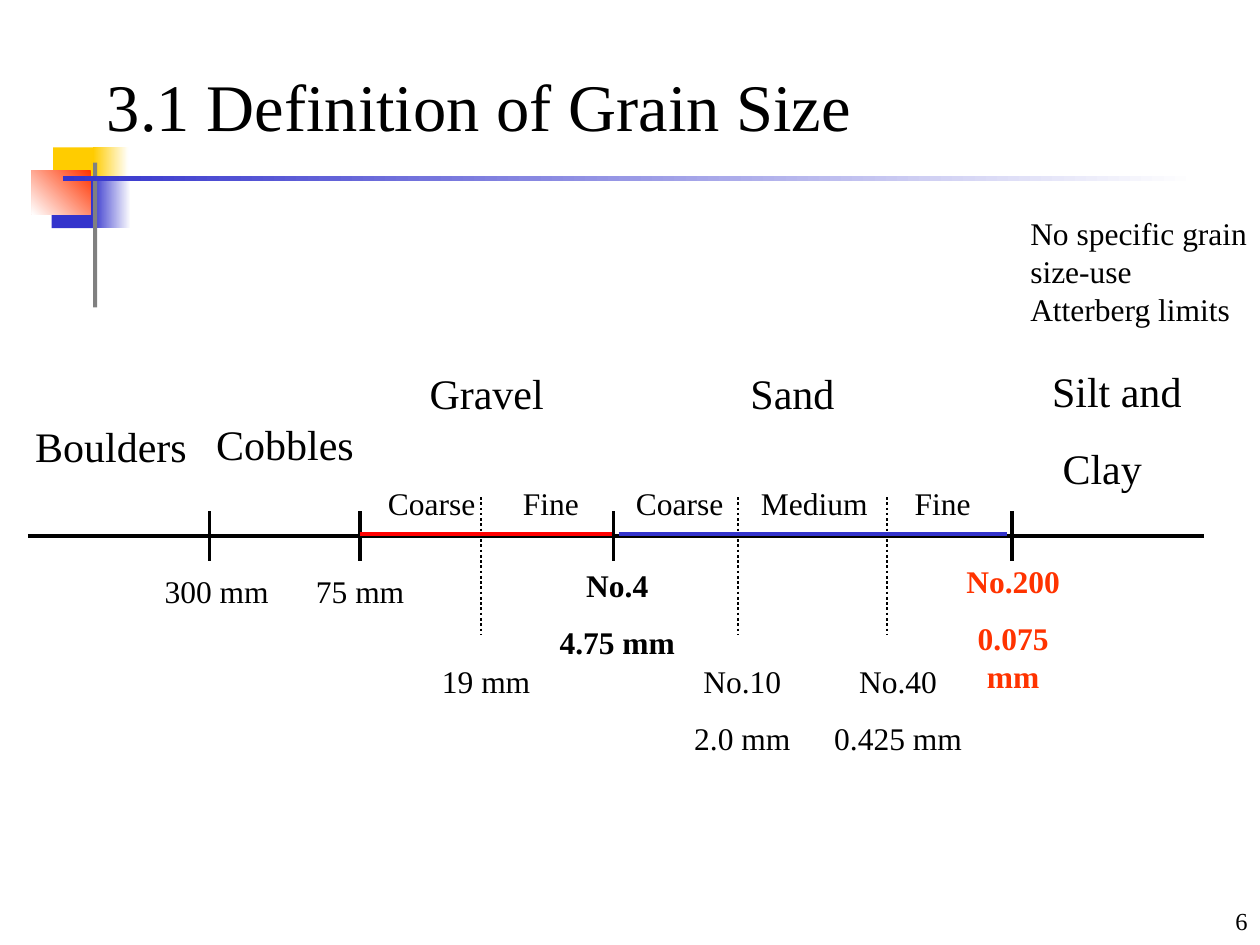
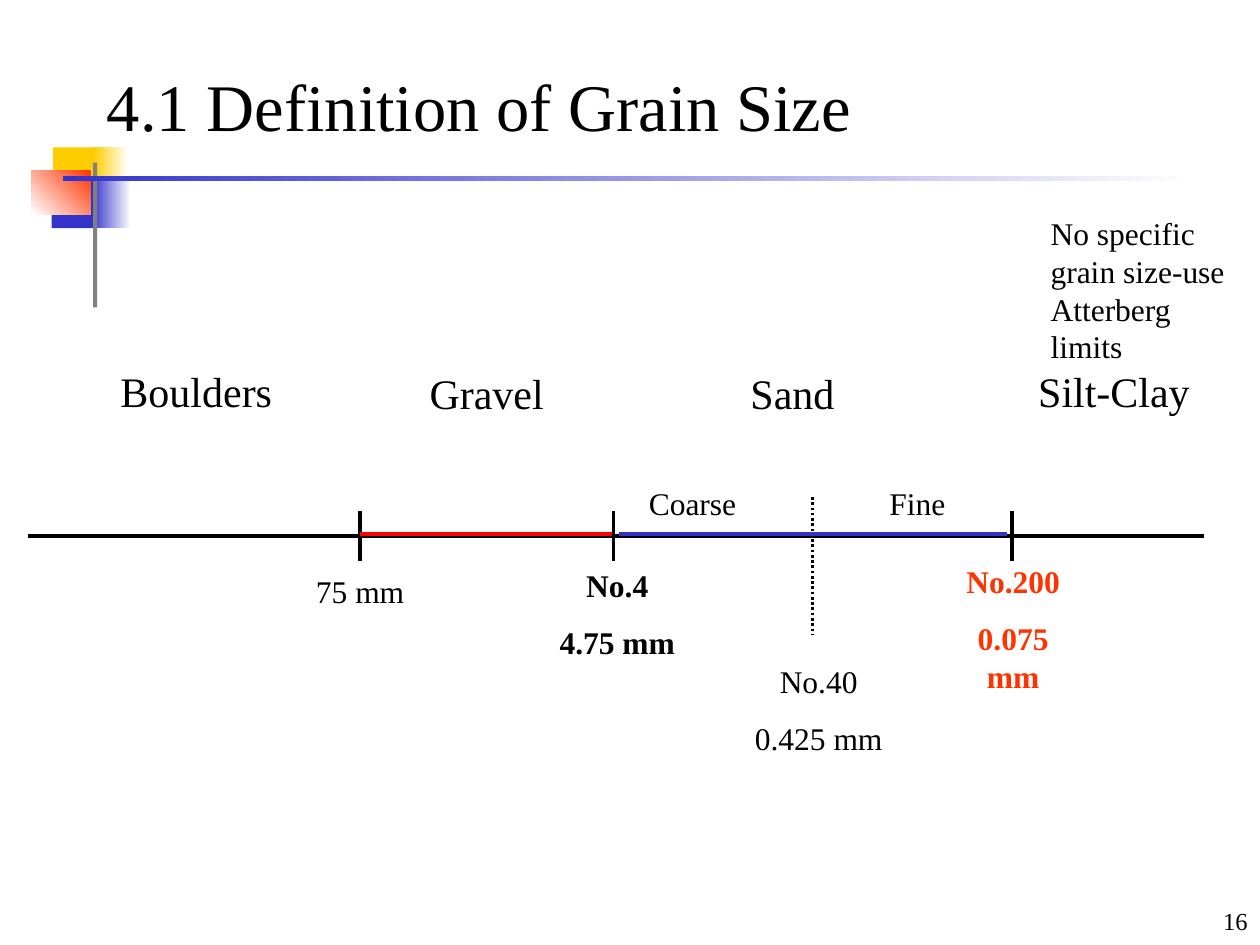
"""Build two slides that show soil grain size classes along an axis."""
from dataclasses import dataclass, replace

import lxml.etree
import pptx
import pptx.dml.color
import pptx.enum.dml
import pptx.enum.shapes
import pptx.enum.text
import pptx.oxml.ns
import pptx.slide
import pptx.text.text
import pptx.util

Cm = pptx.util.Cm
Align = pptx.enum.text.PP_ALIGN

FONT = "Times New Roman"
BLACK, WHITE, GRAY = "000000", "FFFFFF", "808080"
YELLOW, BLUE, ORANGE, RED = "FFCC00", "3333CC", "FF3300", "FF0000"

AXIS_Y = 10.8
RANGE_Y = 10.77
TICK_SPAN = (10.31, 11.3)
DIVIDER_SPAN = (10.02, 12.8)
GROUP_TOP, CLASS_TOP, SIZE_TOP, DIVIDER_SIZE_TOP = 7.29, 9.63, 11.4, 13.22
CLASS_WIDTH = 2.49


@dataclass(frozen=True)
class Block:
    """A decorative rectangle in cm; end_color turns its fill into a gradient."""
    left: float
    top: float
    width: float
    height: float
    color: str
    end_color: str = ""
    angle: float = 0


@dataclass(frozen=True)
class Label:
    """A text box in cm; lines are paragraphs, rows counts the wrapped lines."""
    lines: tuple[str, ...]
    left: float
    top: float
    width: float
    size: int = 18
    rows: int = 1
    align: Align = Align.LEFT
    color: str = BLACK
    bold: bool = False

    @property
    def space_before(self) -> float:
        """Return the paragraph spacing in points."""
        return self.size * 0.625

    @property
    def height(self) -> float:
        """Return the height in cm that fits the text and its margins."""
        gaps = (len(self.lines) - 1) * self.space_before
        return 0.25 + (self.rows * self.size * 1.2 + gaps) * 2.54 / 72


@dataclass(frozen=True)
class GrainChart:
    """The content of one slide."""
    title: str
    page: str
    ticks: tuple[float, ...]
    dividers: tuple[float, ...]
    labels: tuple[Label, ...]


def group(text: str, left: float, width: float, top: float = GROUP_TOP) -> Label:
    """Return the name of a main soil group."""
    return Label((text,), left, top, width, size=24)


def grain_class(text: str, left: float, width: float = CLASS_WIDTH) -> Label:
    """Return the name of a class within a group."""
    return Label((text,), left, CLASS_TOP, width)


def sieve(number: str, opening: str, left: float, top: float, width: float = 2.85) -> Label:
    """Return a centred sieve number above its opening."""
    return Label((number, opening), left, top, width, rows=2, align=Align.CENTER)


BLOCKS = (
    Block(1.07, 2.97, 0.94, 1.02, YELLOW),
    Block(1.88, 2.97, 0.71, 1.02, YELLOW, WHITE),
    Block(1.04, 3.58, 0.89, 1.02, BLUE),
    Block(1.85, 3.58, 0.79, 1.02, BLUE, WHITE),
    Block(0.64, 3.43, 1.19, 0.89, ORANGE, WHITE, 225),
    Block(1.88, 3.28, 0.08, 2.92, GRAY),
    Block(1.27, 3.54, 22.86, 0.11, BLUE, WHITE),
)

SHARED_TICKS = (7.26, 12.37, 20.4)
SHARED_LABELS = (
    group("Gravel", 8.41, 2.83),
    group("Sand", 14.88, 2.83),
    Label(("75 mm",), 6.12, SIZE_TOP, 2.37),
    replace(sieve("No.4", "4.75 mm", 11.02, 11.28), bold=True),
    replace(sieve("No.200", "0.075 mm", 19, 11.2), bold=True, color=ORANGE, rows=3),
)
NOTE = Label(("No specific grain size-use Atterberg limits",), 20.52, 4.19, 4.88, rows=3)
NO_40 = sieve("No.40", "0.425 mm", 16.54, DIVIDER_SIZE_TOP, 3.13)

CHARTS = (
    GrainChart(
        "3.1 Definition of Grain Size", "6",
        ticks=(4.22, *SHARED_TICKS),
        dividers=(9.7, 14.88, 17.88),
        labels=(
            *SHARED_LABELS,
            group("Boulders", 0.46, 4.27, 8.36),
            group("Cobbles", 4.11, 3.38, 8.31),
            Label(("Silt and", " Clay"), 20.96, 7.24, 3.36, size=24, rows=2),
            grain_class("Coarse", 7.57),
            grain_class("Fine", 10.29),
            grain_class("Coarse", 12.57),
            grain_class("Medium", 15.09, 2.83),
            grain_class("Fine", 18.19),
            Label(("300 mm",), 3.07, SIZE_TOP, 3.1),
            Label(("19 mm",), 8.66, DIVIDER_SIZE_TOP, 2.37),
            sieve("No.10", "2.0 mm", 13.54, DIVIDER_SIZE_TOP),
            NO_40,
            NOTE,
        ),
    ),
    GrainChart(
        "4.1 Definition of Grain Size", "16",
        ticks=SHARED_TICKS,
        dividers=(16.38,),
        labels=(
            *SHARED_LABELS,
            group("Boulders", 2.18, 4.27, 7.24),
            group("Silt-Clay", 20.68, 3.76, 7.24),
            grain_class("Coarse", 12.83),
            grain_class("Fine", 17.68),
            replace(NO_40, left=14.94),
            replace(NOTE, left=20.93, width=4.47, rows=4),
        ),
    ),
)


def rgb(color: str) -> pptx.dml.color.RGBColor:
    """Turn a hex string into a colour."""
    return pptx.dml.color.RGBColor.from_string(color)


def format_runs(paragraph: pptx.text.text._Paragraph, size: int,
                color: str = BLACK, bold: bool = False) -> None:
    """Set the font of every run in a paragraph."""
    for run in paragraph.runs:
        run.font.name = FONT
        run.font.size = pptx.util.Pt(size)
        run.font.bold = bold
        run.font.color.rgb = rgb(color)


def add_block(slide: pptx.slide.Slide, block: Block) -> None:
    """Draw a decorative rectangle."""
    shape = slide.shapes.add_shape(
        pptx.enum.shapes.MSO_SHAPE.RECTANGLE,
        Cm(block.left), Cm(block.top), Cm(block.width), Cm(block.height))
    shape.shadow.inherit = False
    shape.line.fill.background()
    if block.end_color:
        shape.fill.gradient()
        shape.fill.gradient_angle = block.angle
        for stop, color in zip(shape.fill.gradient_stops, (block.color, block.end_color)):
            stop.color.rgb = rgb(color)
    else:
        shape.fill.solid()
        shape.fill.fore_color.rgb = rgb(block.color)


def add_line(slide: pptx.slide.Slide, start: tuple[float, float], end: tuple[float, float],
             color: str = BLACK, width: float = 2, dotted: bool = False) -> None:
    """Draw a straight line between two points given in cm."""
    connector = slide.shapes.add_connector(
        pptx.enum.shapes.MSO_CONNECTOR.STRAIGHT, *map(Cm, (*start, *end)))
    connector.line.color.rgb = rgb(color)
    connector.line.width = pptx.util.Pt(width)
    if dotted:
        connector.line.dash_style = pptx.enum.dml.MSO_LINE.ROUND_DOT
    lxml.etree.SubElement(connector.element.spPr, pptx.oxml.ns.qn("a:effectLst"))


def add_label(slide: pptx.slide.Slide, label: Label) -> None:
    """Write a label, one paragraph per line."""
    shape = slide.shapes.add_textbox(
        Cm(label.left), Cm(label.top), Cm(label.width), Cm(label.height))
    text_frame = shape.text_frame
    text_frame.word_wrap = True
    text_frame.auto_size = pptx.enum.text.MSO_AUTO_SIZE.SHAPE_TO_FIT_TEXT
    text_frame.text = "\n".join(label.lines)
    for paragraph in text_frame.paragraphs:
        paragraph.alignment = label.align
        paragraph.space_before = pptx.util.Pt(label.space_before)
        format_runs(paragraph, label.size, label.color, label.bold)


def add_title(slide: pptx.slide.Slide, text: str) -> None:
    """Place and format the title placeholder."""
    title = slide.shapes.title
    title.left, title.top, title.width, title.height = map(Cm, (1.9, 0.84, 21.59, 2.54))
    text_frame = title.text_frame
    text_frame.text = text
    text_frame.auto_size = pptx.enum.text.MSO_AUTO_SIZE.NONE
    text_frame.vertical_anchor = pptx.enum.text.MSO_ANCHOR.MIDDLE
    text_frame.paragraphs[0].alignment = Align.LEFT
    format_runs(text_frame.paragraphs[0], 38)


def add_page_number(slide: pptx.slide.Slide, page: str) -> None:
    """Write the page number in the bottom right corner."""
    shape = slide.shapes.add_textbox(Cm(24.26), Cm(18.14), Cm(1.14), Cm(0.71))
    shape.text_frame.word_wrap = True
    shape.text_frame.text = page
    paragraph = shape.text_frame.paragraphs[0]
    paragraph.alignment = Align.RIGHT
    format_runs(paragraph, 14)


def add_axis(slide: pptx.slide.Slide, chart: GrainChart) -> None:
    """Draw the axis with its ticks, dotted dividers and coloured ranges."""
    add_line(slide, (0.56, AXIS_Y), (24.28, AXIS_Y))
    for x in chart.ticks:
        add_line(slide, (x, TICK_SPAN[0]), (x, TICK_SPAN[1]))
    for x in chart.dividers:
        add_line(slide, (x, DIVIDER_SPAN[0]), (x, DIVIDER_SPAN[1]), width=1.5, dotted=True)
    for start, end, color in ((7.26, 12.34, RED), (12.47, 20.29, BLUE)):
        add_line(slide, (start, RANGE_Y), (end, RANGE_Y), color)


def add_chart_slide(presentation: pptx.presentation.Presentation, chart: GrainChart) -> None:
    """Add one complete slide."""
    slide = presentation.slides.add_slide(presentation.slide_layouts.get_by_name("Title Only"))
    for block in BLOCKS:
        add_block(slide, block)
    add_title(slide, chart.title)
    add_axis(slide, chart)
    for label in chart.labels:
        add_label(slide, label)
    add_page_number(slide, chart.page)


def main() -> None:
    """Build and save the presentation."""
    presentation = pptx.Presentation()
    presentation.slide_width, presentation.slide_height = Cm(25.4), Cm(19.05)
    for chart in CHARTS:
        add_chart_slide(presentation, chart)
    presentation.save("out.pptx")


main()
